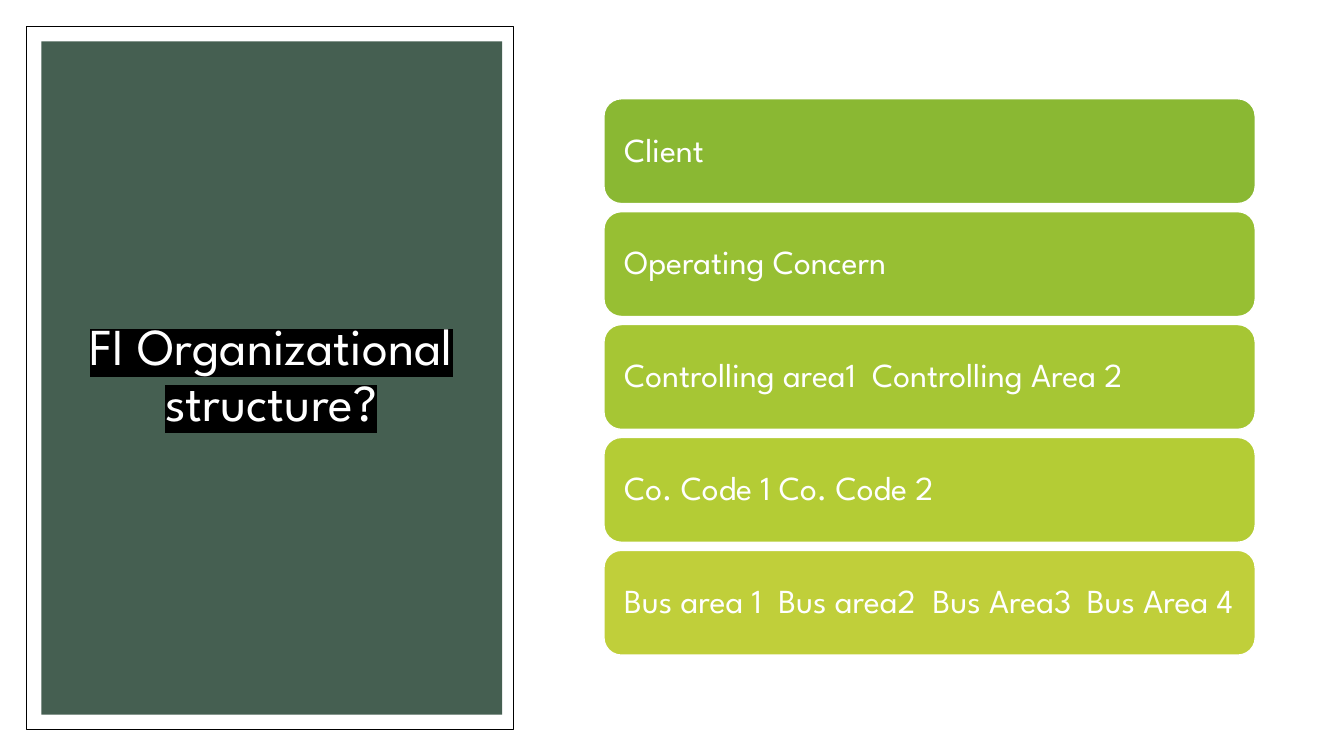
"""Build the FI organizational structure slide."""
from pptx import Presentation
from pptx.dml.color import RGBColor
from pptx.enum.shapes import MSO_SHAPE as Shape
from pptx.enum.text import MSO_ANCHOR as Anchor, PP_ALIGN as Align
from pptx.oxml import parse_xml
from pptx.oxml.ns import nsdecls, qn
from pptx.util import Inches, Pt

TITLE = "FI Organizational structure?"
LEVELS = [
    (["Client"], "8AB833", 0),
    (["Operating Concern"], "97BF33", 0),
    (["Controlling area1", "Controlling Area 2"], "A6C634", 2.46),
    (["Co. Code 1 Co. Code 2"], "B4CC35", 0),
    (["Bus area 1", "Bus area2", "Bus Area3", "Bus Area 4"], "C0CF3A", 1.53),
]
COLORS = {"white": "FFFFFF", "black": "000000", "panel": "455F51"}
FONT = "League Spartan"
BAR_LEFT, BAR_TOP, BAR_WIDTH, BAR_HEIGHT, BAR_STEP = 5.99, 0.98, 6.46, 1.04, 1.12


def add_block(slide, kind, box, fill, line=None, line_width=1):
    block = slide.shapes.add_shape(kind, *map(Inches, box))
    block.shadow.inherit = False
    block.fill.solid()
    block.fill.fore_color.rgb = RGBColor.from_string(fill)
    if line:
        block.line.color.rgb = RGBColor.from_string(line)
        block.line.width = Pt(line_width)
    else:
        block.line.fill.background()
    return block


def write(frame, text, size, align):
    frame.word_wrap = True
    frame.vertical_anchor = Anchor.MIDDLE
    paragraph = frame.paragraphs[0]
    paragraph.alignment = align
    paragraph.line_spacing = 0.9
    run = paragraph.add_run()
    run.text = text
    run.font.size = Pt(size)
    run.font.name = FONT
    run.font.color.rgb = RGBColor.from_string(COLORS["white"])
    return paragraph, run


def add_tabs(paragraph, count, step):
    stops = "".join(f'<a:tab pos="{Inches(step * n)}" algn="l"/>' for n in range(1, count + 1))
    tabs = parse_xml(f'<a:tabLst {nsdecls("a")}>{stops}</a:tabLst>')
    paragraph._p.get_or_add_pPr().append(tabs)


def add_title(slide):
    frame = slide.shapes.add_textbox(*map(Inches, (0.63, 0.74, 4.12, 5.99))).text_frame
    title_run = write(frame, TITLE, 37, Align.CENTER)[1]
    highlight = parse_xml(
        f'<a:highlight {nsdecls("a")}><a:srgbClr val="{COLORS["black"]}"/></a:highlight>')
    title_run.font._element.find(qn("a:solidFill")).addnext(highlight)


def add_level(slide, row, names, color, tab_step):
    box = (BAR_LEFT, BAR_TOP + row * BAR_STEP, BAR_WIDTH, BAR_HEIGHT)
    bar = add_block(slide, Shape.ROUNDED_RECTANGLE, box, color, COLORS["white"])
    frame = bar.text_frame
    frame.margin_left = frame.margin_right = Inches(0.15)
    paragraph = write(frame, "\t".join(names), 24, Align.LEFT)[0]
    if tab_step:
        add_tabs(paragraph, len(names) - 1, tab_step)


def main():
    deck = Presentation()
    deck.slide_width, deck.slide_height = Inches(13.33), Inches(7.5)
    slide = deck.slides.add_slide(deck.slide_layouts[6])
    add_block(slide, Shape.RECTANGLE, (0.26, 0.26, 4.83, 6.98),
              COLORS["white"], COLORS["black"], 0.5)
    add_block(slide, Shape.RECTANGLE, (0.41, 0.41, 4.57, 6.68), COLORS["panel"])
    add_title(slide)
    for row, level in enumerate(LEVELS):
        add_level(slide, row, *level)
    deck.save("out.pptx")


if __name__ == "__main__":
    main()
